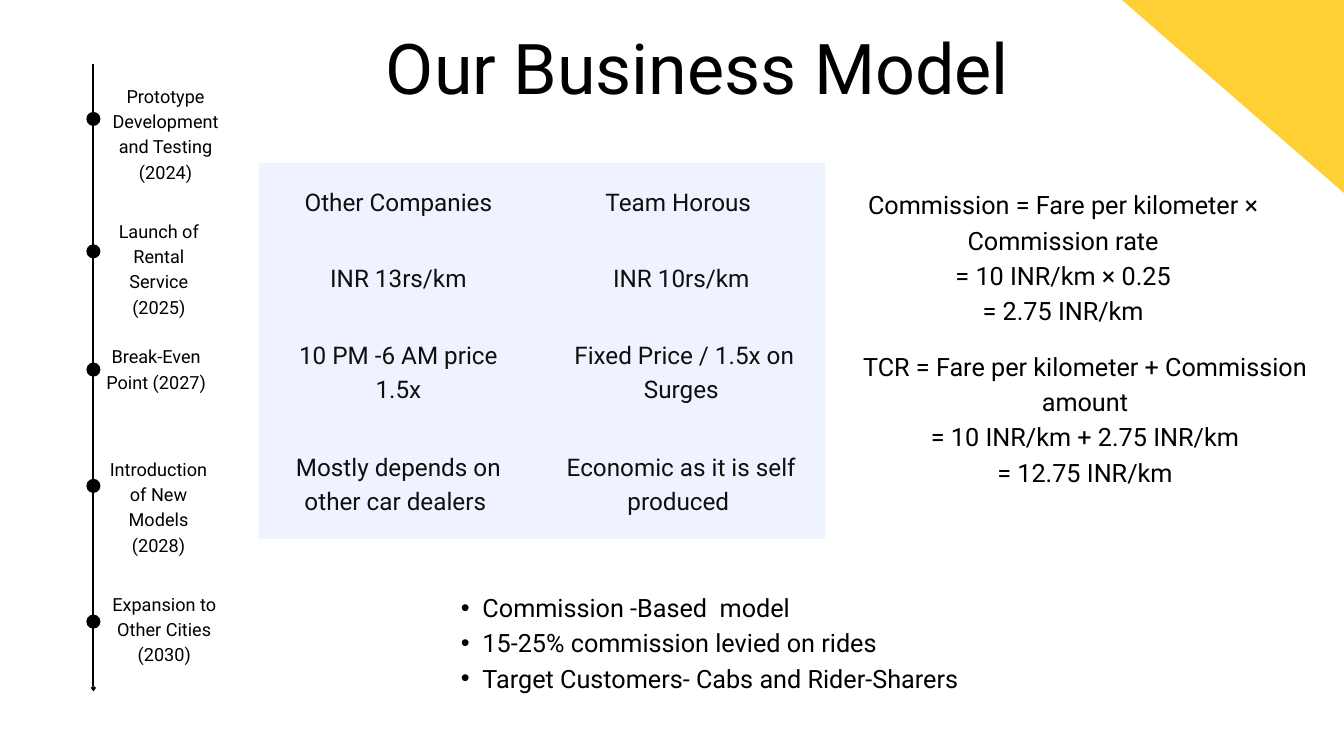
from dataclasses import dataclass

from lxml import etree
from pptx import Presentation
from pptx.dml.color import RGBColor
from pptx.enum.shapes import MSO_CONNECTOR, MSO_SHAPE
from pptx.enum.text import MSO_ANCHOR, MSO_AUTO_SIZE, PP_ALIGN
from pptx.oxml.ns import qn
from pptx.util import Inches, Pt

CENTER, LEFT = PP_ALIGN.CENTER, PP_ALIGN.LEFT
MIDDLE = MSO_ANCHOR.MIDDLE
FIT = MSO_AUTO_SIZE.SHAPE_TO_FIT_TEXT
OVAL, BAND = MSO_SHAPE.OVAL, MSO_SHAPE.ROUND_2_SAME_RECTANGLE
STRAIGHT = MSO_CONNECTOR.STRAIGHT

FONT = "Roboto"
COLORS = {"black": "000000", "ink": "100F0D", "yellow": "FFD034", "pale": "EEF3FF"}
NO_GRID = "{2D5ABB26-0587-4C30-8999-92F81FD0307C}"
AXIS, DOT = 1.39, 0.21


@dataclass
class Box:
    left: float
    top: float
    width: float
    height: float
    lines: list[str]
    size: float = 27
    bullet: bool = False


@dataclass
class Step:
    dot: float
    label: Box


def step(dot: float, left: float, top: float, width: float, height: float, text: str) -> Step:
    return Step(dot, Box(left, top, width, height, [text], 19.4))


STEPS = [
    step(1.77, 1.55, 1.21, 1.83, 1.5, "Prototype Development and Testing (2024)"),
    step(3.74, 1.55, 3.22, 1.63, 1.5, "Launch of Rental Service (2025)"),
    step(5.5, 1.49, 5.09, 1.67, 0.75, "Break-Even Point (2027)"),
    step(7.23, 1.49, 6.76, 1.74, 1.5, "Introduction of New Models (2028)"),
    step(9.25, 1.49, 8.77, 1.91, 1.12, "Expansion to Other Cities (2030)"),
]
BOXES = [
    Box(5.17, 0.16, 10.42, 1.42, ["Our Business Model"], 75),
    Box(6.54, 8.74, 8.73, 1.55, [
        "Commission -Based  model",
        "15-25% commission levied on rides",
        "Target Customers- Cabs and Rider-Sharers",
    ], bullet=True),
    Box(12.11, 2.75, 7.42, 2.07, [
        "Commission = Fare per kilometer × Commission rate",
        "= 10 INR/km × 0.25",
        "= 2.75 INR/km",
    ]),
    Box(12.43, 5.15, 7.43, 2.07, [
        "TCR = Fare per kilometer + Commission amount",
        "= 10 INR/km + 2.75 INR/km",
        "= 12.75 INR/km",
    ]),
]
COLS, ROWS = [4.14, 4.28], [1.13, 1.13, 1.67, 1.67]
CELLS = [
    ["Other Companies", "Team Horous "],
    ["INR 13rs/km", "INR 10rs/km"],
    ["10 PM -6 AM price 1.5x", " Fixed Price / 1.5x on Surges"],
    ["Mostly depends on other car dealers ", "Economic as it is self produced "],
]


def rgb(name: str) -> RGBColor:
    return RGBColor.from_string(COLORS[name])


def style(para, size: float, color: str, align=CENTER) -> None:
    para.alignment = align
    para.line_spacing = Pt(round(size * 1.4, 1))
    for run in para.runs:
        run.font.name, run.font.size = FONT, Pt(size)
        run.font.color.rgb = rgb(color)


def add_bullet(para) -> None:
    para.level = 1
    props = para._p.get_or_add_pPr()
    props.set("marL", str(Inches(0.64)))
    props.set("indent", str(Inches(-0.32)))
    etree.SubElement(props, qn("a:buFont")).set("typeface", "Arial")
    etree.SubElement(props, qn("a:buChar")).set("char", "•")


def add_text(slide, box: Box) -> None:
    area = map(Inches, (box.left, box.top, box.width, box.height))
    frame = slide.shapes.add_textbox(*area).text_frame
    frame.margin_left = frame.margin_right = frame.margin_top = frame.margin_bottom = 0
    frame.word_wrap = True
    frame.auto_size = FIT
    frame.text = "\n".join(box.lines)
    for para in frame.paragraphs:
        if box.bullet:
            add_bullet(para)
        style(para, box.size, "black", LEFT if box.bullet else CENTER)


def add_solid(slide, kind, left: float, top: float, width: float, height: float, color: str):
    shape = slide.shapes.add_shape(kind, *map(Inches, (left, top, width, height)))
    shape.shadow.inherit = False
    shape.fill.solid()
    shape.fill.fore_color.rgb = rgb(color)
    shape.line.fill.background()
    return shape


def add_axis(slide) -> None:
    axis = slide.shapes.add_connector(STRAIGHT, *map(Inches, (AXIS, 0.95, AXIS, 10.29)))
    axis.line.color.rgb = rgb("black")
    axis.line.width = Pt(2.25)
    head = etree.SubElement(axis.line._get_or_add_ln(), qn("a:tailEnd"))
    for key, value in (("type", "arrow"), ("w", "sm"), ("len", "sm")):
        head.set(key, value)
    etree.SubElement(axis._element.spPr, qn("a:effectLst"))


def add_prices(slide) -> None:
    area = map(Inches, (3.86, 2.42, sum(COLS), sum(ROWS)))
    table = slide.shapes.add_table(len(ROWS), len(COLS), *area).table
    table._tbl.tblPr.find(qn("a:tableStyleId")).text = NO_GRID
    table.first_row = table.horz_banding = False
    for col, width in zip(table.columns, COLS):
        col.width = Inches(width)
    for row, height, texts in zip(table.rows, ROWS, CELLS):
        row.height = Inches(height)
        for cell, text in zip(row.cells, texts):
            cell.text_frame.text = text
            cell.vertical_anchor = MIDDLE
            cell.margin_left = cell.margin_right = Inches(0.21)
            cell.margin_top = cell.margin_bottom = Inches(0.21)
            cell.fill.solid()
            cell.fill.fore_color.rgb = rgb("pale")
            style(cell.text_frame.paragraphs[0], 26, "ink")


def main() -> None:
    deck = Presentation()
    deck.slide_width, deck.slide_height = Inches(20), Inches(11.25)
    slide = deck.slides.add_slide(deck.slide_layouts[6])

    band = add_solid(slide, BAND, 16.39, -11.44, 7.46, 18.95, "yellow")
    band.adjustments[0], band.adjustments[1] = 0, 0.5
    band.rotation = 131

    add_axis(slide)
    for item in STEPS:
        add_solid(slide, OVAL, AXIS - DOT / 2, item.dot - DOT / 2, DOT, DOT, "black")
    add_prices(slide)
    for box in [item.label for item in STEPS] + BOXES:
        add_text(slide, box)
    deck.save("out.pptx")


if __name__ == "__main__":
    main()
